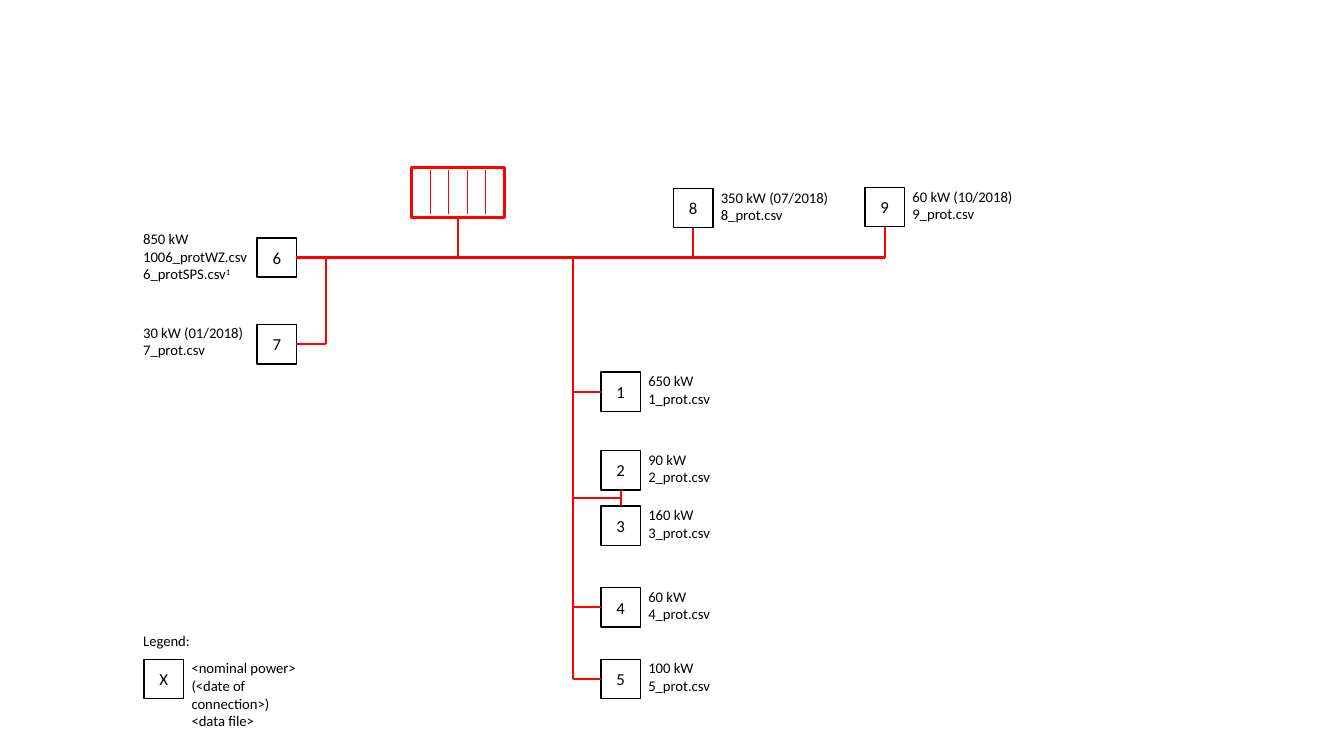
"""Builds a one-slide diagram of a heating network with numbered consumers."""
from dataclasses import dataclass

from lxml import etree
from pptx import Presentation
from pptx.dml.color import RGBColor
from pptx.enum.shapes import MSO_CONNECTOR as Connector, MSO_SHAPE as Shape
from pptx.enum.text import MSO_ANCHOR as Anchor, PP_ALIGN as Align
from pptx.oxml.ns import qn
from pptx.util import Inches, Pt


@dataclass(frozen=True)
class Theme:
    font: str = "Calibri"
    black: RGBColor = RGBColor(0, 0, 0)
    red: RGBColor = RGBColor(255, 0, 0)
    number_size: float = 12
    label_size: float = 10.5
    box_line: float = 1
    station_line: float = 2.25
    wire_line: float = 1.5
    bar_line: float = 0.5


THEME = Theme()
TOP, LEFT, BOTTOM, RIGHT = range(4)
BOX = 0.39
STATION = (4.08, 1.66, 0.92, 0.5)
BARS = 4
BAR_TOP, BAR_BOTTOM = 1.69, 2.12
TRUNK_X, SPUR_X = 5.68, 3.23
COLUMN_X, LABEL_X = 5.96, 1.34

CONSUMERS = [
    ("1", COLUMN_X, 3.69, ["650 kW", "1_prot.csv"]),
    ("2", COLUMN_X, 4.47, ["90 kW", "2_prot.csv"]),
    ("3", COLUMN_X, 5.02, ["160 kW", "3_prot.csv"]),
    ("4", COLUMN_X, 5.83, ["60 kW", "4_prot.csv"]),
    ("5", COLUMN_X, 6.54, ["100 kW", "5_prot.csv"]),
    ("6", 2.55, 2.36, []),
    ("7", 2.55, 3.22, []),
    ("8", 6.68, 1.87, ["350 kW (07/2018)", "8_prot.csv"]),
    ("9", 8.58, 1.86, ["60 kW (10/2018)", "9_prot.csv"]),
    ("X", 1.43, 6.54, ["<nominal power> (<date of connection>)", "<data file>"]),
]
LEFT_LABELS = [
    (2.28, ["850 kW", "1006_protWZ.csv", "6_protSPS.csv^1"]),
    (3.21, ["30 kW (01/2018)", "7_prot.csv"]),
    (6.27, ["Legend:"]),
]


def write(frame, lines, size, align=Align.LEFT):
    """Fill a text frame; text after ^ is raised."""
    for index, line in enumerate(lines):
        para = frame.paragraphs[0] if index == 0 else frame.add_paragraph()
        para.alignment = align
        base, _, raised = line.partition("^")
        for text in filter(None, (base, raised)):
            span = para.add_run()
            span.text = text
            span.font.name = THEME.font
            span.font.size = Pt(size)
            span.font.color.rgb = THEME.black
        if raised:
            span.font._element.set("baseline", "30000")


def add_label(page, left, top, lines):
    label = page.shapes.add_textbox(
        Inches(left), Inches(top), Inches(1.2), Inches(BOX))
    frame = label.text_frame
    frame.word_wrap = False
    frame.margin_left = Inches(0.08)
    frame.margin_right = frame.margin_top = frame.margin_bottom = 0
    write(frame, lines, THEME.label_size)


def add_box(page, place, color, weight):
    box = page.shapes.add_shape(Shape.RECTANGLE, *map(Inches, place))
    box.shadow.inherit = False
    box.fill.background()
    box.line.color.rgb = color
    box.line.width = Pt(weight)
    return box


def side_point(box, side):
    """Return the middle of a side of a box, in inches."""
    x_share, y_share = [(0.5, 0), (0, 0.5), (0.5, 1), (1, 0.5)][side]
    return ((box.left + box.width * x_share) / Inches(1),
            (box.top + box.height * y_share) / Inches(1))


def add_wire(page, start, end, weight=THEME.wire_line):
    """Draw a line between points or (box, side) pairs, joining it to boxes."""
    points = [item if isinstance(item[0], (int, float)) else side_point(*item)
              for item in (start, end)]
    wire = page.shapes.add_connector(
        Connector.STRAIGHT, *[Inches(value) for point in points for value in point])
    wire.line.color.rgb = THEME.red
    wire.line.width = Pt(weight)
    etree.SubElement(wire._element.spPr, qn("a:effectLst"))
    for item, point, join in zip(
            (start, end), points, (wire.begin_connect, wire.end_connect)):
        if item is not point:
            join(*item)


def main():
    deck = Presentation()
    deck.slide_width, deck.slide_height = Inches(13.33), Inches(7.5)
    page = deck.slides.add_slide(deck.slide_layouts[6])

    station = add_box(page, STATION, THEME.red, THEME.station_line)
    bar_gap = STATION[2] / (BARS + 1)
    for index in range(1, BARS + 1):
        bar_x = STATION[0] + index * bar_gap
        add_wire(page, (bar_x, BAR_TOP), (bar_x, BAR_BOTTOM), THEME.bar_line)

    boxes = {}
    for name, left, top, lines in CONSUMERS:
        box = add_box(page, (left, top, BOX, BOX), THEME.black, THEME.box_line)
        box.text_frame.vertical_anchor = Anchor.MIDDLE
        write(box.text_frame, [name], THEME.number_size, Align.CENTER)
        boxes[name] = box
        if lines:
            add_label(page, left + BOX, top, lines)
    for top, lines in LEFT_LABELS:
        add_label(page, LABEL_X, top, lines)

    bus_y = side_point(boxes["6"], RIGHT)[1]
    bus_end = side_point(boxes["9"], BOTTOM)[0]
    add_wire(page, (bus_end, bus_y), (boxes["6"], RIGHT))
    for box in (station, boxes["8"], boxes["9"]):
        add_wire(page, (box, BOTTOM), (side_point(box, BOTTOM)[0], bus_y))

    for rail_x, side, names in ((TRUNK_X, LEFT, "145"), (SPUR_X, RIGHT, "7")):
        for name in names:
            rail_end = (rail_x, side_point(boxes[name], side)[1])
            add_wire(page, (boxes[name], side), rail_end)
        add_wire(page, (rail_x, bus_y), rail_end)

    pair_x, pair_top = side_point(boxes["2"], BOTTOM)
    pair_y = (pair_top + side_point(boxes["3"], TOP)[1]) / 2
    add_wire(page, (boxes["2"], BOTTOM), (boxes["3"], TOP))
    add_wire(page, (pair_x, pair_y), (TRUNK_X, pair_y))

    deck.save("out.pptx")


if __name__ == "__main__":
    main()
